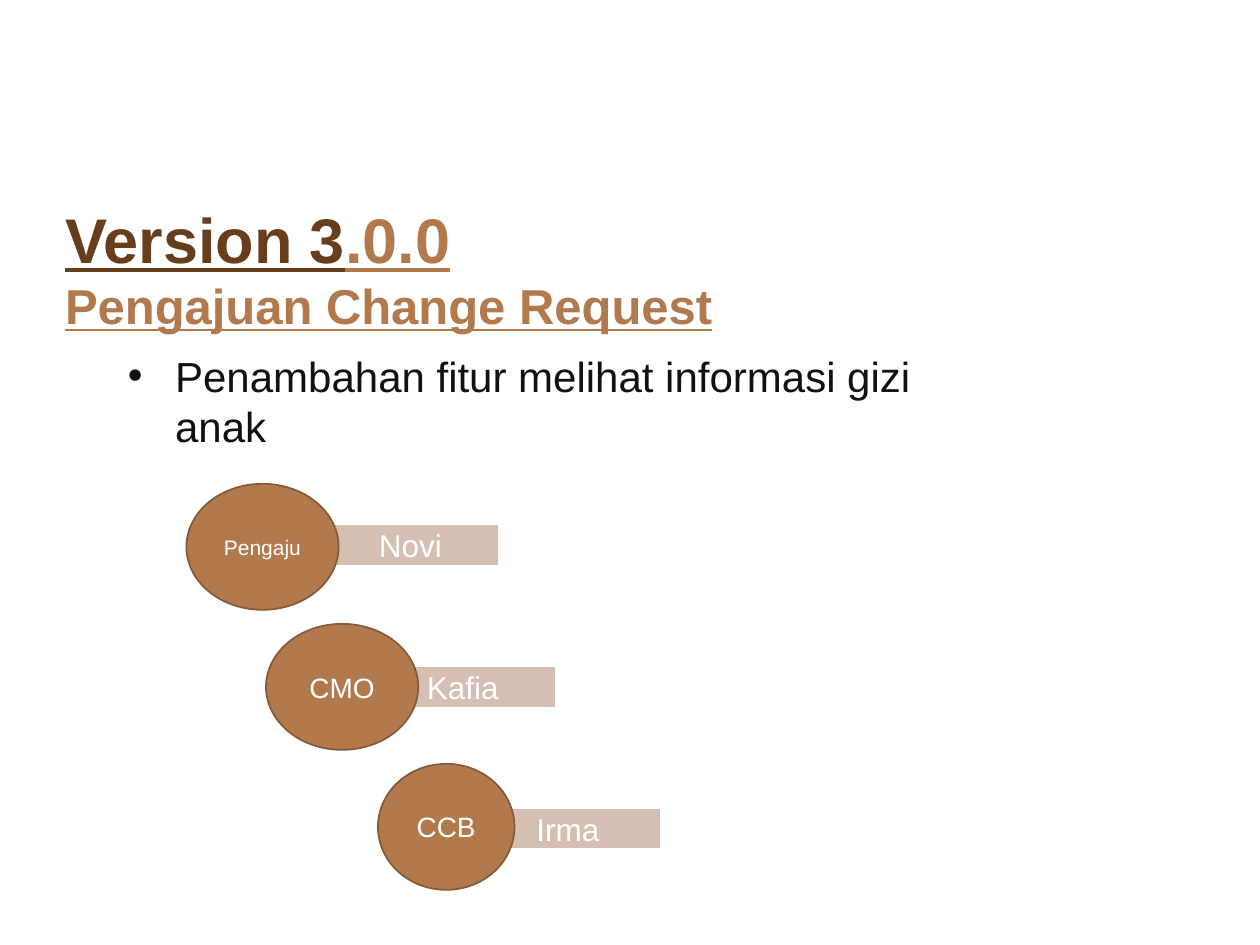
from lxml.etree import SubElement
from pptx import Presentation
from pptx.dml.color import RGBColor
from pptx.enum.shapes import MSO_SHAPE
from pptx.enum.text import MSO_ANCHOR, PP_ALIGN
from pptx.oxml.ns import qn
from pptx.util import Pt

FONT = "Arial"
WHITE = RGBColor(0xFF, 0xFF, 0xFF)
INK = RGBColor(0x11, 0x11, 0x11)
DARK_BROWN = RGBColor(0x66, 0x3E, 0x1C)
BROWN = RGBColor(0xB2, 0x79, 0x4D)
EDGE_BROWN = RGBColor(0x84, 0x5A, 0x39)
BEIGE = RGBColor(0xD5, 0xBE, 0xB2)

# Content: title lines as (text, size, colour) spans
TITLE_LINES = [
    [("Version 3", 36, DARK_BROWN), (".0.0", 36, BROWN)],
    [("Pengajuan Change Request", 28, BROWN)],
]
REQUEST = "Penambahan fitur melihat informasi gizi anak"
# role, text size, circle left, circle width, person, band left
ROLES = [
    ("Pengaju", 12, 106.5, 87, "Novi", 183.5),
    ("CMO", 16, 152, 87, "Kafia ", 216),
    ("CCB", 16, 216, 78, "Irma ", 276),
]
CIRCLE_TOP, CIRCLE_HEIGHT, CIRCLE_STEP = 276.5, 72, 80
BAND_TOP, BAND_WIDTH, BAND_HEIGHT, BAND_STEP = 299.5, 102, 24, 81


def add_span(para, text, size, color):
    span = para.add_run()
    span.text = text
    span.font.name = FONT
    span.font.size = Pt(size)
    span.font.color.rgb = color
    return span


def add_label_shape(page, kind, bounds, fill, line, line_width, text, size):
    shape = page.shapes.add_shape(kind, *(Pt(value) for value in bounds))
    shape.shadow.inherit = False
    shape.fill.solid()
    shape.fill.fore_color.rgb = fill
    shape.line.color.rgb = line
    shape.line.width = Pt(line_width)
    shape.text_frame.vertical_anchor = MSO_ANCHOR.MIDDLE
    para = shape.text_frame.paragraphs[0]
    para.alignment = PP_ALIGN.CENTER
    add_span(para, text, size, WHITE)


deck = Presentation()
deck.slide_width, deck.slide_height = Pt(720), Pt(540)
page = deck.slides.add_slide(deck.slide_layouts[5])

# Title
title = page.shapes.title
title.left, title.top, title.width, title.height = Pt(30), Pt(138), Pt(518), Pt(24)
frame = title.text_frame
frame.word_wrap = True
frame.vertical_anchor = MSO_ANCHOR.MIDDLE
frame.margin_top = Pt(9)
for index, spans in enumerate(TITLE_LINES):
    para = frame.add_paragraph() if index else frame.paragraphs[0]
    para.alignment = PP_ALIGN.LEFT
    para.space_before = Pt(0)
    for text, size, color in spans:
        span = add_span(para, text, size, color)
        span.font.bold = True
        span.font.underline = True

# Change request bullet
box = page.shapes.add_textbox(Pt(66), Pt(196.5), Pt(518), Pt(312.5))
box.text_frame.word_wrap = True
box.text_frame.margin_right = Pt(14)
para = box.text_frame.paragraphs[0]
para.space_before = Pt(3)
add_span(para, REQUEST, 24, INK)
properties = para._p.get_or_add_pPr()
properties.set("marL", str(Pt(27)))
properties.set("indent", str(Pt(-27)))
SubElement(properties, qn("a:buFont")).set("typeface", FONT)
SubElement(properties, qn("a:buChar")).set("char", "•")

# Name bands, each behind its role circle
for row, (role, size, left, width, person, band_left) in enumerate(ROLES):
    band = (band_left, BAND_TOP + row * BAND_STEP, BAND_WIDTH, BAND_HEIGHT)
    circle = (left, CIRCLE_TOP + row * CIRCLE_STEP, width, CIRCLE_HEIGHT)
    add_label_shape(page, MSO_SHAPE.RECTANGLE, band, BEIGE, WHITE, 1.5, person, 18)
    add_label_shape(page, MSO_SHAPE.OVAL, circle, BROWN, EDGE_BROWN, 1, role, size)

deck.save("out.pptx")
